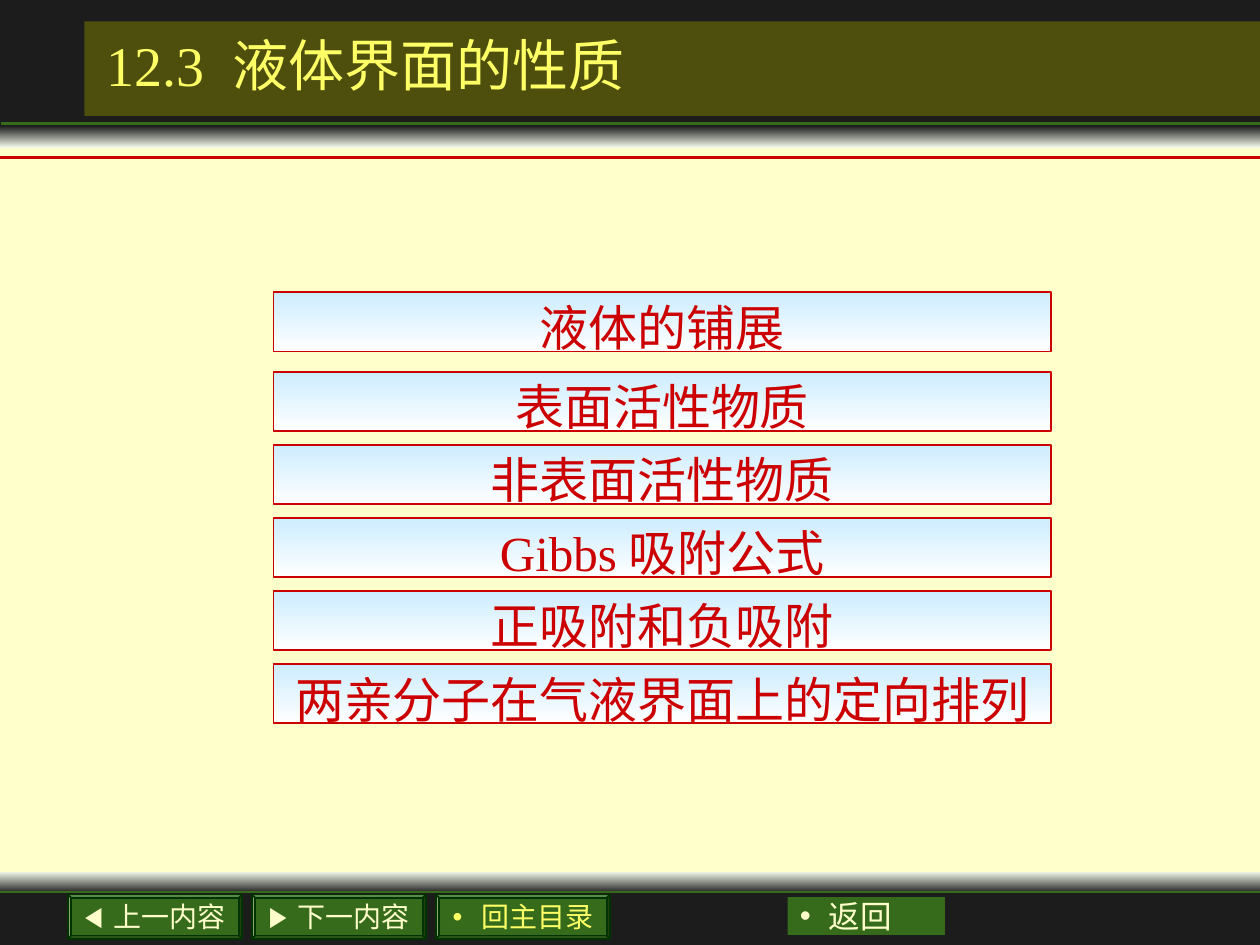
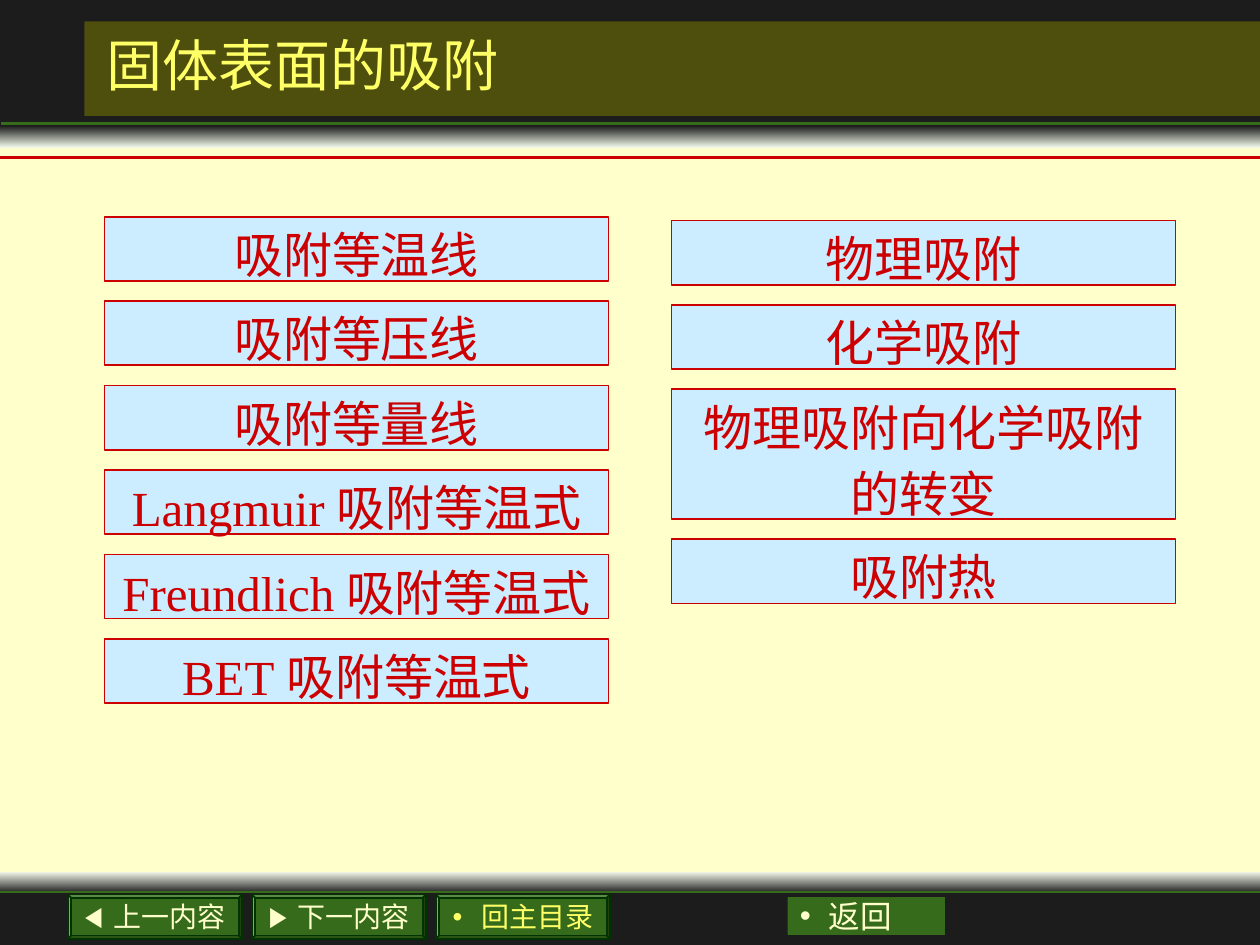
from itertools import groupby

from lxml.etree import SubElement
from pptx import Presentation
from pptx.dml.color import RGBColor
from pptx.enum.shapes import MSO_CONNECTOR, MSO_SHAPE
from pptx.enum.text import MSO_ANCHOR, PP_ALIGN
from pptx.oxml.ns import qn
from pptx.util import Inches, Pt

LATIN, CHINESE = "Times New Roman", "Noto Sans CJK SC"
CREAM, YELLOW, RED = "FFFFCC", "FFFF66", "CC0000"
GREEN, DARK_GREEN, BLACK = "366B1B", "003300", "1C1C1C"
MIST, OLIVE, SKY, WHITE = "F1F7E9", "808000", "CCECFF", "FFFFFF"

BANDS = [
    (0, 6.92, 10, 0.17, (MIST, BLACK)),
    (0, 7.08, 10, 0.42, BLACK),
    (0, 1, 10, 0.17, (BLACK, MIST)),
    (0, 0, 10, 1, BLACK),
]
RULES = [(0, 7.08, GREEN, 1.5), (0, 1.25, RED, 2.25), (0.01, 0.98, GREEN, 1.5)]
BUTTONS = [("上一内容", "◀", CREAM), ("下一内容", "▶", CREAM), ("回主目录", "•", YELLOW)]
BUTTON_LEFT, BUTTON_PITCH = 0.54, 1.46

TOPICS = [
    {
        "title": "12.3 液体界面的性质",
        "fill": (SKY, WHITE), "width": 6.17, "height": 0.47, "gap": 0.11, "line": 36.5,
        "stacks": [
            (2.17, 2.32, ["液体的铺展"]),
            (2.17, 2.95, ["表面活性物质", "非表面活性物质", "Gibbs吸附公式",
                          "正吸附和负吸附", "两亲分子在气液界面上的定向排列"]),
        ],
    },
    {
        "title": "固体表面的吸附",
        "fill": SKY, "width": 4, "height": 0.51, "gap": 0.16, "line": 38,
        "stacks": [
            (0.83, 1.72, ["吸附等温线", "吸附等压线", "吸附等量线", "Langmuir吸附等温式",
                          "Freundlich吸附等温式", "BET吸附等温式"]),
            (5.33, 1.75, ["物理吸附", "化学吸附", "物理吸附向化学吸附的转变", "吸附热"]),
        ],
    },
]
CHARACTERS_PER_LINE = {6.17: 16, 4: 11}


def color(hex_value):
    return RGBColor.from_string(hex_value)


def paint(fill, colors):
    if isinstance(colors, str):
        fill.solid()
        fill.fore_color.rgb = color(colors)
        return
    fill.gradient()
    fill.gradient_angle = 270
    for stop, position, hex_value in zip(fill.gradient_stops, (0, 1), colors):
        stop.position = position
        stop.color.rgb = color(hex_value)


def add_block(slide, left, top, width, height, fill, edge=None, kind=MSO_SHAPE.RECTANGLE):
    block = slide.shapes.add_shape(kind, Inches(left), Inches(top), Inches(width), Inches(height))
    block.shadow.inherit = False
    paint(block.fill, fill)
    if edge:
        block.line.color.rgb = color(edge)
        block.line.width = Pt(1)
    else:
        block.line.fill.background()
    return block


def add_rule(slide, left, top, hex_value, weight):
    rule = slide.shapes.add_connector(
        MSO_CONNECTOR.STRAIGHT, Inches(left), Inches(top), Inches(left + 10), Inches(top))
    rule.line.color.rgb = color(hex_value)
    rule.line.width = Pt(weight)
    SubElement(rule._element.spPr, qn("a:effectLst"))


def add_bullet(paragraph, mark, hex_value):
    properties = paragraph._p.get_or_add_pPr()
    properties.set("marL", str(Inches(0.23)))
    properties.set("indent", str(-Inches(0.23)))
    SubElement(SubElement(properties, qn("a:buClr")), qn("a:srgbClr"), val=hex_value)
    SubElement(properties, qn("a:buFont"), typeface="Arial")
    SubElement(properties, qn("a:buChar"), char=mark)


def write(shape, text, size, hex_value, align=PP_ALIGN.CENTER, anchor=MSO_ANCHOR.MIDDLE,
          inset=(0.1, 0), line=None, bullet=None):
    frame = shape.text_frame
    frame.word_wrap = True
    frame.vertical_anchor = anchor
    frame.margin_left = frame.margin_right = Inches(inset[0])
    frame.margin_top = frame.margin_bottom = Inches(inset[1])
    paragraph = frame.paragraphs[0]
    paragraph.alignment = align
    if line:
        paragraph.line_spacing = Pt(line)
    if bullet:
        add_bullet(paragraph, bullet, hex_value)
    for is_latin, letters in groupby(text, str.isascii):
        run = paragraph.add_run()
        run.text = "".join(letters)
        run.font.size = Pt(size)
        run.font.color.rgb = color(hex_value)
        run.font.name = LATIN if is_latin else CHINESE
        SubElement(run._r.rPr, qn("a:ea"), typeface=CHINESE)


def add_frame(slide, title):
    paint(slide.background.fill, CREAM)
    for *place, fill in BANDS:
        add_block(slide, *place, fill)
    title_band = add_block(slide, 0.67, 0.17, 9.33, 0.75, OLIVE)
    olive = title_band._element.spPr.find(qn("a:solidFill"))[0]
    SubElement(olive, qn("a:alpha"), val="50000")
    for rule in RULES:
        add_rule(slide, *rule)
    for index, (label, mark, hex_value) in enumerate(BUTTONS):
        button = add_block(slide, BUTTON_LEFT + index * BUTTON_PITCH, 7.1, 1.38, 0.35,
                           GREEN, DARK_GREEN, MSO_SHAPE.BEVEL)
        button.adjustments[0] = 0.07
        write(button, label, 16, hex_value, inset=(0.05, 0), bullet=mark)
    back = add_block(slide, 6.25, 7.12, 1.25, 0.3, GREEN)
    write(back, "返回", 18, CREAM, align=PP_ALIGN.LEFT, bullet="•")
    heading = slide.shapes.add_textbox(Inches(0.75), Inches(0.17), Inches(8.5), Inches(0.67))
    write(heading, title, 32, YELLOW, align=PP_ALIGN.LEFT, inset=(0.1, 0.05))


def add_stack(slide, topic, left, top, entries):
    width = topic["width"]
    for entry in entries:
        wraps = entry.isalpha() and len(entry) > CHARACTERS_PER_LINE[width] and not entry[0].isascii()
        height = topic["height"] * 2 + 0.01 if wraps else topic["height"]
        box = add_block(slide, left, top, width, height, topic["fill"], RED)
        write(box, entry, 28, RED, anchor=MSO_ANCHOR.TOP, line=topic["line"])
        top += height + topic["gap"]


def main():
    deck = Presentation()
    deck.slide_width, deck.slide_height = Inches(10), Inches(7.5)
    for topic in TOPICS:
        slide = deck.slides.add_slide(deck.slide_layouts[6])
        add_frame(slide, topic["title"])
        for stack in topic["stacks"]:
            add_stack(slide, topic, *stack)
    deck.save("out.pptx")


if __name__ == "__main__":
    main()
